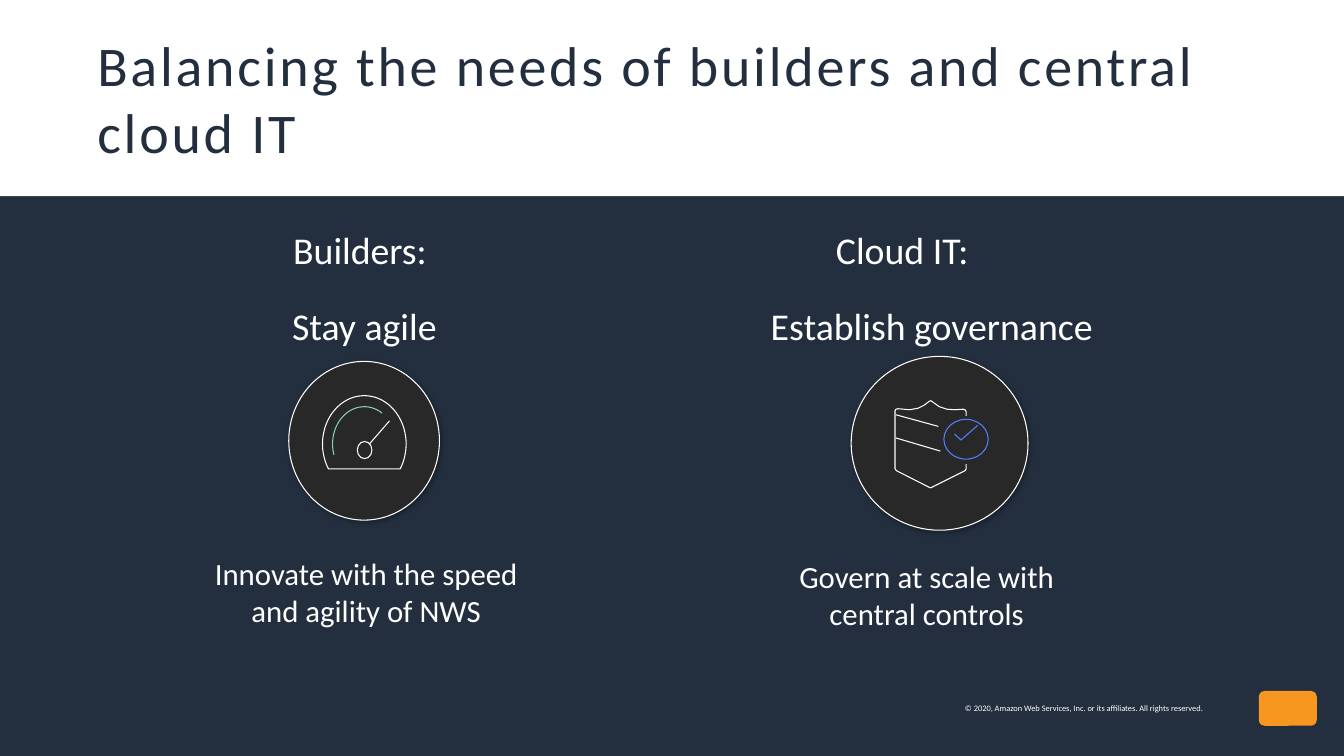
"""Build the slide on balancing the needs of builders and central cloud IT."""
import math

import lxml.etree
import pptx
import pptx.dml.color
import pptx.enum.shapes
import pptx.enum.text
import pptx.oxml.ns
import pptx.util

Inches = pptx.util.Inches
Pt = pptx.util.Pt
RGBColor = pptx.dml.color.RGBColor
MSO_SHAPE = pptx.enum.shapes.MSO_SHAPE
PP_ALIGN = pptx.enum.text.PP_ALIGN
MSO_ANCHOR = pptx.enum.text.MSO_ANCHOR
MSO_AUTO_SIZE = pptx.enum.text.MSO_AUTO_SIZE
qn = pptx.oxml.ns.qn

NAVY = RGBColor(0x23, 0x2F, 0x3E)
WHITE = RGBColor(0xFF, 0xFF, 0xFF)
CHARCOAL = RGBColor(0x28, 0x28, 0x28)
MINT = RGBColor(0x88, 0xCE, 0xB8)
BLUE = RGBColor(0x52, 0x7F, 0xFF)
ORANGE = RGBColor(0xF7, 0x97, 0x20)


def draw_outline(points, color, close=False):
    mils = [(round(x * 1000), round(y * 1000)) for x, y in points]
    builder = slide.shapes.build_freeform(*mils[0], scale=Inches(1) / 1000)
    builder.add_line_segments(mils[1:], close=close)
    outline = builder.convert_to_shape()
    outline.shadow.inherit = False
    outline.fill.background()
    outline.line.color.rgb = color
    outline.line.width = Pt(1.5)


def arc(center_x, center_y, radius_x, radius_y, start, end):
    angles = [math.radians(start + (end - start) * i / 48) for i in range(49)]
    return [(center_x + radius_x * math.cos(a), center_y + radius_y * math.sin(a))
            for a in angles]


prs = pptx.Presentation()
prs.slide_width = Inches(26.67)
prs.slide_height = Inches(15)
slide = prs.slides.add_slide(prs.slide_layouts[6])
slide.background.fill.solid()
slide.background.fill.fore_color.rgb = NAVY

for kind, left, top, width, height, color in [
    (MSO_SHAPE.RECTANGLE, 0, 0, 26.67, 3.89, WHITE),
    (MSO_SHAPE.ROUNDED_RECTANGLE, 24.98, 13.71, 1.15, 0.69, ORANGE),
]:
    panel = slide.shapes.add_shape(kind, Inches(left), Inches(top), Inches(width), Inches(height))
    panel.shadow.inherit = False
    panel.fill.solid()
    panel.fill.fore_color.rgb = color
    panel.line.fill.background()

title = slide.shapes.add_textbox(Inches(1.93), Inches(0.49), Inches(22.81), Inches(2.9))
copyright_line = slide.shapes.add_textbox(Inches(10.82), Inches(13.95), Inches(13.06), Inches(0.2))
for box, words, size, color, align, anchor in [
    (title, "Balancing the needs of builders and central cloud IT",
     80, NAVY, PP_ALIGN.LEFT, MSO_ANCHOR.MIDDLE),
    (copyright_line, "© 2020, Amazon Web Services, Inc. or its affiliates. All rights reserved.",
     12, WHITE, PP_ALIGN.RIGHT, MSO_ANCHOR.TOP),
]:
    frame = box.text_frame
    frame.word_wrap = True
    frame.vertical_anchor = anchor
    frame.margin_left = frame.margin_right = frame.margin_top = frame.margin_bottom = 0
    frame.text = words
    frame.paragraphs[0].alignment = align
    run = frame.paragraphs[0].runs[0]
    run.font.name = "Calibri"
    run.font.size = Pt(size)
    run.font.color.rgb = color
title.text_frame.paragraphs[0].runs[0].font._element.set("spc", "400")

column_frames = []
for left, top, width, height, size, words in [
    (4.72, 4.44, 5.02, 2.55, 54, "Builders: \nStay agile"),
    (3.72, 10.96, 7.1, 1.62, 44, "Innovate with the speed and agility of NWS"),
    (13.43, 4.44, 10.12, 3.15, 54, "Cloud IT:\nEstablish governance"),
    (15.11, 11.01, 6.56, 1.58, 44, "Govern at scale with central controls"),
]:
    box = slide.shapes.add_textbox(Inches(left), Inches(top), Inches(width), Inches(height))
    frame = box.text_frame
    frame.word_wrap = True
    frame.auto_size = MSO_AUTO_SIZE.SHAPE_TO_FIT_TEXT
    frame.text = words
    for paragraph in frame.paragraphs:
        paragraph.alignment = PP_ALIGN.CENTER
        paragraph.space_after = Pt(44.8)
        run = paragraph.runs[0]
        run.font.name = "Calibri"
        run.font.size = Pt(size)
        run.font.color.rgb = WHITE
    column_frames.append(frame)

cloud_heading = column_frames[2].paragraphs[0]
cloud_heading.alignment = PP_ALIGN.LEFT
cloud_heading._p.get_or_add_pPr().set("marL", str(Inches(3.06)))

for left, top, width, height, fill, line in [
    (5.73, 7.17, 2.99, 3.15, CHARCOAL, WHITE),
    (16.89, 7.07, 3.51, 3.45, CHARCOAL, WHITE),
    (7.09, 8.76, 0.29, 0.34, None, WHITE),
    (18.73, 8.32, 0.88, 0.79, None, BLUE),
]:
    disc = slide.shapes.add_shape(
        MSO_SHAPE.OVAL, Inches(left), Inches(top), Inches(width), Inches(height))
    disc.shadow.inherit = False
    disc.line.color.rgb = line
    disc.line.width = Pt(1.5)
    if fill is None:
        disc.fill.background()
        continue
    disc.fill.solid()
    disc.fill.fore_color.rgb = fill
    effects = disc._element.spPr.find(qn("a:effectLst"))
    shadow = lxml.etree.SubElement(
        effects, qn("a:outerShdw"), blurRad=str(Pt(7)), dist=str(Pt(3)), dir="2700000")
    shade = lxml.etree.SubElement(shadow, qn("a:srgbClr"), val="000000")
    lxml.etree.SubElement(shade, qn("a:alpha"), val="30000")

draw_outline(arc(7.23, 8.81, 0.83, 0.96, 149, 391), WHITE, close=True)
draw_outline(arc(7.23, 8.81, 0.63, 0.74, 163, 304), MINT)
draw_outline([
    (19.17, 8.25), (19.17, 8.16), (19.15, 8.13), (19.11, 8.12), (18.95, 8.13),
    (18.79, 8.12), (18.64, 8.07), (18.5, 7.97), (18.47, 7.95), (18.43, 7.97),
    (18.34, 8.04), (18.22, 8.1), (18.05, 8.13), (17.82, 8.11), (17.78, 8.12),
    (17.76, 8.15), (17.76, 9.3), (17.79, 9.34), (18.44, 9.67), (18.47, 9.68),
    (18.49, 9.67), (19.15, 9.34), (19.17, 9.31), (19.17, 9.21)], WHITE)
draw_outline([(18.94, 8.61), (19.07, 8.73), (19.4, 8.44)], BLUE)

for x1, y1, x2, y2 in [
    (7.33, 8.81, 7.73, 8.35),
    (17.78, 8.69, 18.66, 8.95),
    (17.78, 8.23, 18.62, 8.46),
]:
    stroke = slide.shapes.add_connector(
        pptx.enum.shapes.MSO_CONNECTOR.STRAIGHT, Inches(x1), Inches(y1), Inches(x2), Inches(y2))
    stroke.line.color.rgb = WHITE
    stroke.line.width = Pt(1.5)
    lxml.etree.SubElement(stroke._element.spPr, qn("a:effectLst"))

prs.save("out.pptx")
